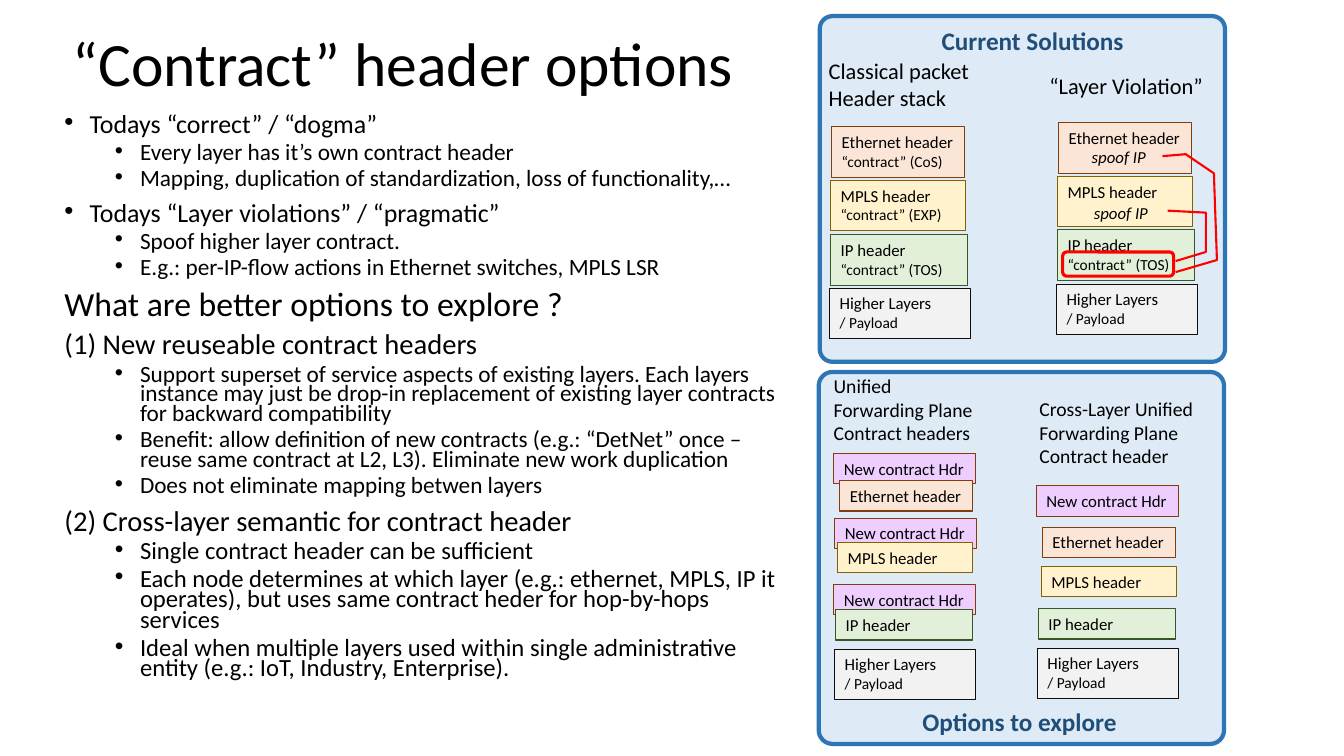
from lxml import etree
from pptx import Presentation
from pptx.dml.color import RGBColor
from pptx.enum.shapes import MSO_SHAPE
from pptx.enum.text import MSO_ANCHOR, MSO_AUTO_SIZE, PP_ALIGN
from pptx.oxml.ns import qn
from pptx.util import Inches, Pt

RECTANGLE, ROUNDED = MSO_SHAPE.RECTANGLE, MSO_SHAPE.ROUNDED_RECTANGLE
TOP, MIDDLE = MSO_ANCHOR.TOP, MSO_ANCHOR.MIDDLE
LEFT, NO_FIT = PP_ALIGN.LEFT, MSO_AUTO_SIZE.NONE
FONT = "Calibri"
TITLE_ONLY = 5

COLORS = {
    "text": "000000", "heading": "1F4E79", "red": "FF0000",
    "panel": "DEEBF7", "panel_edge": "2E75B6",
    "contract": "EDCEFF", "ethernet": "FBE5D6", "brown": "843C0B",
    "mpls": "FFF2CC", "olive": "806000",
    "ip": "E2F0D9", "green": "385723",
    "payload": "F2F2F2", "black": "0D0D0D",
}

# Each layer: caption, edge colour, width, wrap
LAYERS = {
    "contract": ("New contract Hdr", "brown", 1.41, False),
    "ethernet": ("Ethernet header", "brown", 1.32, False),
    "mpls": ("MPLS header", "olive", 1.34, True),
    "ip": ("IP header", "green", 1.36, True),
    "payload": ("Higher Layers", "black", 1.4, True),
}

# Each header: layer, left, top, second line; None keeps a low box
CLASSICAL_STACK = [
    ("ethernet", 8.25, 1.26, "“contract” (CoS)"),
    ("mpls", 8.24, 1.79, "“contract” (EXP)"),
    ("ip", 8.24, 2.33, "“contract” (TOS)"),
    ("payload", 8.23, 2.86, "/ Payload"),
]
VIOLATION_STACK = [
    ("ethernet", 10.5, 1.22, ""),
    ("mpls", 10.49, 1.75, ""),
    ("ip", 10.49, 2.28, "“contract” (TOS)"),
    ("payload", 10.48, 2.82, "/ Payload"),
]
UNIFIED_STACK = [
    ("payload", 8.28, 6.44, "/ Payload"),
    ("contract", 8.27, 4.5, None),
    ("ethernet", 8.33, 4.77, None),
    ("contract", 8.28, 5.14, None),
    ("mpls", 8.31, 5.38, None),
    ("contract", 8.27, 5.8, None),
    ("ip", 8.29, 6.05, None),
]
CROSS_LAYER_STACK = [
    ("payload", 10.29, 6.43, "/ Payload"),
    ("contract", 10.28, 4.82, None),
    ("ethernet", 10.34, 5.23, None),
    ("mpls", 10.33, 5.62, None),
    ("ip", 10.3, 6.04, None),
]

# Each outline entry: level, size, bulleted, text
OUTLINE = [
    (0, 18.5, True, "Todays “correct” / “dogma”"),
    (1, 16.6, True, "Every layer has it’s own contract header"),
    (1, 16.6, True, "Mapping, duplication of standardization, loss of functionality,…"),
    (0, 18.5, True, "Todays “Layer violations” / “pragmatic”"),
    (1, 16.6, True, "Spoof higher layer contract."),
    (1, 16.6, True, "E.g.: per-IP-flow actions in Ethernet switches, MPLS LSR"),
    (0, 24.1, False, "What are better options to explore ?"),
    (0, 20.4, False, "(1) New reuseable contract headers"),
    (1, 16.6, True, "Support superset of service aspects of existing layers. Each layers "
                    "instance may just be drop-in replacement of existing layer contracts "
                    "for backward compatibility"),
    (1, 16.6, True, "Benefit: allow definition of new contracts (e.g.: “DetNet” once – "
                    "reuse same contract at L2, L3). Eliminate new work duplication"),
    (1, 16.6, True, "Does not eliminate mapping betwen layers"),
    (0, 20.4, False, "(2) Cross-layer semantic for contract header"),
    (1, 17.6, True, "Single contract header can be sufficient"),
    (1, 17.6, True, "Each node determines at which layer (e.g.: ethernet, MPLS, IP it "
                    "operates), but uses same contract heder for hop-by-hops services"),
    (1, 17.6, True, "Ideal when multiple layers used within single administrative "
                    "entity (e.g.: IoT, Industry, Enterprise)."),
]


def rgb(name):
    """Return the named colour."""
    return RGBColor.from_string(COLORS[name])


def add_run(paragraph, text, size, color="text", bold=False, italic=False):
    """Add one formatted run to a left-aligned paragraph."""
    paragraph.alignment = LEFT
    run = paragraph.add_run()
    run.text = text
    run.font.name, run.font.size = FONT, Pt(size)
    run.font.bold, run.font.italic = bold, italic
    run.font.color.rgb = rgb(color)


def prepare_frame(frame, wrap, anchor=TOP):
    """Set wrapping, anchor and fixed size of a text frame."""
    frame.auto_size, frame.word_wrap = NO_FIT, wrap
    frame.vertical_anchor = anchor


def write_lines(frame, lines, sizes, **style):
    """Write each line as its own paragraph."""
    for index, (line, size) in enumerate(zip(lines, sizes)):
        paragraph = frame.add_paragraph() if index else frame.paragraphs[0]
        add_run(paragraph, line, size, **style)


def add_label(slide, box, lines, size, **style):
    """Add an unwrapped text label."""
    label = slide.shapes.add_textbox(*map(Inches, box))
    prepare_frame(label.text_frame, False)
    write_lines(label.text_frame, lines, [size] * len(lines), **style)


def add_outlined(slide, preset, box, fill, edge, weight):
    """Add a preset shape with a fill, or none, and an edge."""
    outlined = slide.shapes.add_shape(preset, *map(Inches, box))
    outlined.shadow.inherit = False
    if fill:
        outlined.fill.solid()
        outlined.fill.fore_color.rgb = rgb(fill)
    else:
        outlined.fill.background()
    outlined.line.color.rgb, outlined.line.width = rgb(edge), Pt(weight)
    return outlined


def add_panel(slide, box):
    """Add a rounded background panel."""
    panel = add_outlined(slide, ROUNDED, box, "panel", "panel_edge", 3)
    panel.adjustments[0] = 0.037


def add_stack(slide, headers):
    """Add the header boxes of one packet."""
    for layer, left, top, detail in headers:
        caption, edge, width, wrap = LAYERS[layer]
        height = 0.3 if detail is None else 0.5
        header = add_outlined(slide, RECTANGLE, (left, top, width, height), layer, edge, 0.75)
        prepare_frame(header.text_frame, wrap)
        write_lines(header.text_frame, [caption, detail] if detail else [caption], (12, 11))


def add_spoof_path(slide, points):
    """Draw an open red line through the points."""
    start, *corners = [(Inches(x), Inches(y)) for x, y in points]
    builder = slide.shapes.build_freeform(*start)
    builder.add_line_segments(corners, close=False)
    spoof_path = builder.convert_to_shape()
    spoof_path.shadow.inherit = False
    spoof_path.fill.background()
    spoof_path.line.color.rgb, spoof_path.line.width = rgb("red"), Pt(1.5)


def add_title(slide, text):
    """Place and format the title placeholder."""
    title = slide.shapes.title
    title.left, title.top, title.width, title.height = map(Inches, (0.62, 0.14, 7.17, 1.04))
    prepare_frame(title.text_frame, True, MIDDLE)
    add_run(title.text_frame.paragraphs[0], text, 44)
    title.text_frame.paragraphs[0].line_spacing = 0.9


def add_outline(slide):
    """Add the two-level outline."""
    frame = slide.shapes.add_textbox(*map(Inches, (0.54, 1.1, 7.38, 6.2))).text_frame
    prepare_frame(frame, True)
    write_lines(frame, [entry[3] for entry in OUTLINE], [entry[1] for entry in OUTLINE])
    for paragraph, (level, _, bulleted, _) in zip(frame.paragraphs, OUTLINE):
        paragraph.level, paragraph.line_spacing = level, 0.7
        paragraph.space_before = Pt(5 if level else 10)
        if bulleted:
            properties = paragraph._p.get_or_add_pPr()
            properties.set("marL", str(Inches(0.25 + 0.5 * level)))
            properties.set("indent", str(Inches(-0.25)))
            etree.SubElement(properties, qn("a:buFont")).set("typeface", "Arial")
            etree.SubElement(properties, qn("a:buChar")).set("char", "•")


def main():
    """Build and save the slide."""
    deck = Presentation()
    deck.slide_width, deck.slide_height = Inches(13.33), Inches(7.5)
    slide = deck.slides.add_slide(deck.slide_layouts[TITLE_ONLY])
    add_panel(slide, (8.12, 3.69, 4.02, 3.69))
    add_panel(slide, (8.13, 0.16, 4.02, 3.43))
    add_title(slide, "“Contract” header options")
    add_outline(slide)
    for stack in (CLASSICAL_STACK, VIOLATION_STACK, UNIFIED_STACK, CROSS_LAYER_STACK):
        add_stack(slide, stack)
    add_label(slide, (8.12, 0.52, 1.61, 0.64), ["Classical packet", "Header stack"], 16)
    add_label(slide, (10.31, 0.67, 1.75, 0.37), ["“Layer Violation”"], 16)
    add_outlined(slide, ROUNDED, (10.54, 2.5, 1.1, 0.24), None, "red", 2.25)
    add_spoof_path(slide, [(11.66, 2.59), (11.96, 2.5), (11.96, 2.11), (11.58, 2.09)])
    add_spoof_path(slide, [(11.66, 2.7), (12.07, 2.58), (12.04, 1.72), (11.76, 1.53), (11.53, 1.55)])
    for left, top in ((10.73, 1.41), (10.75, 1.96)):
        add_label(slide, (left, top, 0.74, 0.3), ["spoof IP"], 12, italic=True)
    add_label(slide, (8.17, 3.66, 1.59, 0.81),
              ["Unified", "Forwarding Plane", "Contract headers"], 14)
    add_label(slide, (10.21, 3.89, 1.79, 0.81),
              ["Cross-Layer Unified", "Forwarding Plane", "Contract header"], 14)
    add_label(slide, (9.24, 0.2, 2.02, 0.4), ["Current Solutions"], 18, color="heading", bold=True)
    add_label(slide, (9.05, 6.96, 2.14, 0.4), ["Options to explore"], 18, color="heading", bold=True)
    deck.save("out.pptx")


if __name__ == "__main__":
    main()
